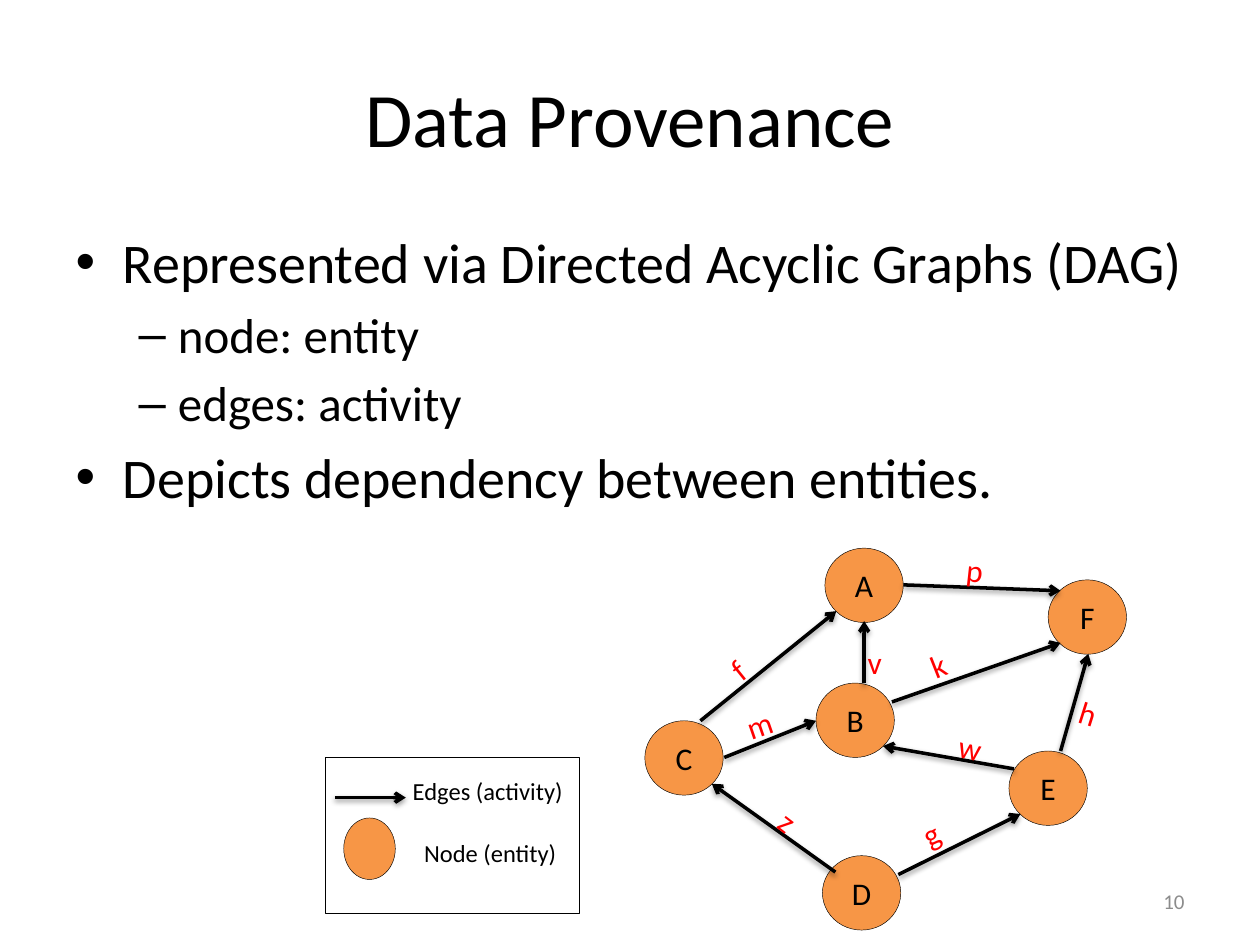
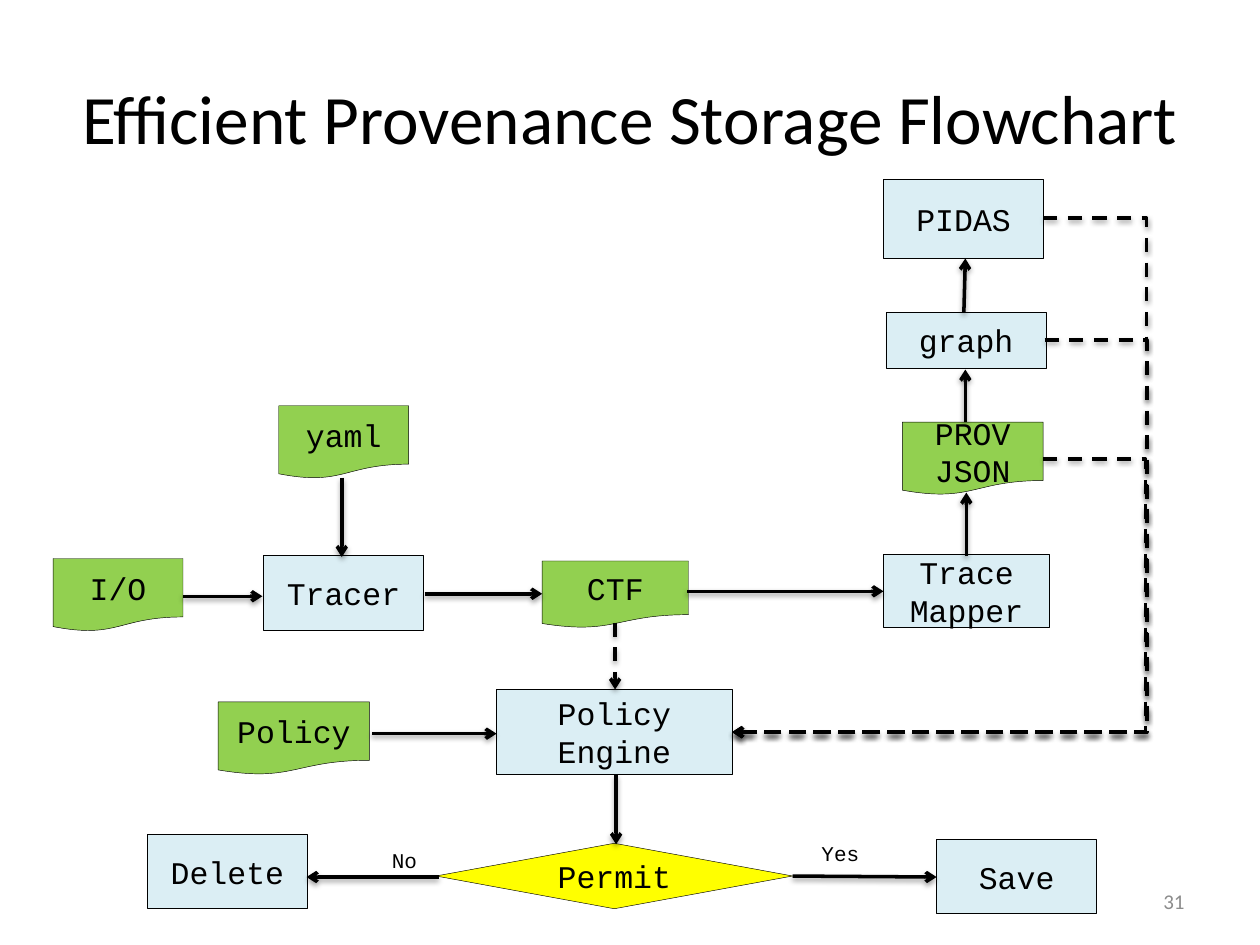
import pptx
import pptx.dml.color
import pptx.enum.dml
import pptx.enum.shapes
import pptx.enum.text
import pptx.oxml
import pptx.oxml.ns
import pptx.util
from dataclasses import dataclass

Cm = pptx.util.Cm
Pt = pptx.util.Pt
Kind = pptx.enum.shapes.MSO_SHAPE
Link = pptx.enum.shapes.MSO_CONNECTOR
Align = pptx.enum.text.PP_ALIGN
Anchor = pptx.enum.text.MSO_ANCHOR


@dataclass(frozen=True)
class Theme:
    """Colours, fonts and sizes shared by all slides."""
    ink: str = "000000"
    paper: str = "FFFFFF"
    node: str = "F79646"
    edge_label: str = "FF0000"
    process: str = "DBEEF4"
    document: str = "92D050"
    decision: str = "FFFF00"
    number: str = "8C8C8C"
    font: str = "Calibri"
    code_font: str = "Courier New"
    title_size: float = 44
    long_title_size: float = 39.6
    list_sizes: tuple = (32, 28)
    label_size: float = 18
    legend_size: float = 14
    small_size: float = 12
    outline: float = 0.25
    arrow: float = 2


THEME = Theme()
TITLE_BOX = (1.27, 0.76, 22.86, 3.18)
LIST_BOX = (1.27, 4.45, 22.86, 12.57)
NUMBER_BOX = (18.21, 17.65, 5.92, 1.02)
GRAPH_BOX = (13, 11.05)
LEGEND_BOX = (6.55, 15.27, 5.13, 3.15)
FLOW_BOX = (1.07, 3.61)

NODE_SIZE = (1.58, 1.5)
EDGE_LABEL_SIZE = (1.27, 1.35)
NODES = {
    "A": (3.63, 0), "B": (3.45, 2.72), "C": (0, 3.48),
    "D": (3.58, 6.2), "E": (7.34, 4.09), "F": (8.13, 0.64),
}
EDGES = [
    ("m", (1.6, 4.22), (3.45, 3.48), (1.85, 3), 340.9),
    ("v", (4.42, 2.72), (4.42, 1.47), (4.24, 1.78), 0),
    ("k", (4.98, 3.1), (8.38, 1.91), (5.56, 1.75), 338.3),
    ("w", (7.44, 4.45), (4.8, 3.99), (6.05, 3.53), 11.4),
    ("g", (5.11, 6.58), (7.57, 5.36), (5.41, 5.13), 331.4),
    ("p", (5.21, 0.74), (8.38, 0.86), (6.22, -0.05), 6.3),
    ("z", (3.84, 6.53), (1.35, 4.75), (2.36, 5.13), 37.5),
    ("f", (1.12, 3.48), (3.86, 1.27), (1.57, 1.73), 321.3),
    ("h", (8.38, 4.09), (8.94, 2.13), (8.46, 2.87), 17.6),
]

DOCUMENTS = [
    ("I/O", (0, 7.65, 2.62, 1.47)),
    ("yaml", (4.55, 4.57, 2.62, 1.47)),
    ("CTF", (9.86, 7.7, 2.95, 1.35)),
    ("Policy", (3.33, 10.54, 3.05, 1.47)),
    ("PROV\nJSON", (17.12, 4.9, 2.84, 1.47)),
]
PROCESSES = [
    ("Tracer", (4.24, 7.59, 3.23, 1.5)),
    ("Trace Mapper", (16.74, 7.57, 3.35, 1.47)),
    ("graph", (16.79, 2.69, 3.23, 1.12)),
    ("PIDAS", (16.74, 0, 3.23, 1.6)),
    ("Policy\nEngine", (8.94, 10.29, 4.75, 1.7)),
    ("Delete", (1.9, 13.21, 3.23, 1.5)),
    ("Save", (17.81, 13.31, 3.23, 1.5)),
]
DECISIONS = [("Permit", (7.72, 13.39, 7.19, 1.32))]
FLOWS = [
    ((2.62, 8.41), (4.22, 8.41)),
    ((5.82, 6.02), (5.82, 7.62)),
    ((7.49, 8.36), (9.86, 8.36)),
    ((12.78, 8.31), (16.74, 8.31)),
    ((18.41, 7.59), (18.41, 6.32)),
    ((18.39, 4.9), (18.39, 3.84)),
    ((18.36, 2.69), (18.39, 1.6)),
    ((6.43, 11.18), (8.94, 11.18)),
    ((11.35, 12.01), (11.35, 13.41)),
    ((7.77, 14.07), (5.11, 14.07)),
    ((14.91, 14.05), (17.81, 14.07)),
]
ENGINE_INPUT = (13.69, 11.15)
FEEDBACKS = [((19.96, 5.64), 22.02), ((19.96, 0.79), 22.05), ((19.99, 3.25), 22.05)]
ANSWERS = [("Yes", (15.24, 13.21, 2.24, 0.61)), ("No", (6.58, 13.36, 2.24, 0.61))]


def colour(code):
    """Turn a hexadecimal code into a colour."""
    return pptx.dml.color.RGBColor.from_string(code)


def shift(box, origin):
    """Move a box or point from region to page coordinates."""
    return (box[0] + origin[0], box[1] + origin[1], *box[2:])


def lengths(box):
    """Turn numbers in centimetres into lengths."""
    return [Cm(value) for value in box]


def write(frame, text, size=THEME.label_size, font=THEME.font, ink=THEME.ink,
          align=None, anchor=None):
    """Fill a text frame with one formatted paragraph for each line."""
    frame.word_wrap = True
    if anchor is not None:
        frame.vertical_anchor = anchor
    for index, line in enumerate(text.split("\n")):
        para = frame.paragraphs[0] if index == 0 else frame.add_paragraph()
        if align is not None:
            para.alignment = align
        span = para.add_run()
        span.text = line
        span.font.size = Pt(size)
        span.font.name = font
        span.font.color.rgb = colour(ink)


def add_label(shapes, text, box, rotation=0, **text_format):
    """Add a text box."""
    label = shapes.add_textbox(*lengths(box))
    label.rotation = rotation
    write(label.text_frame, text, **text_format)


def add_block(shapes, kind, box, fill, text="", **text_format):
    """Add a filled, thinly outlined shape with centred text."""
    block = shapes.add_shape(kind, *lengths(box))
    block.shadow.inherit = False
    block.fill.solid()
    block.fill.fore_color.rgb = colour(fill)
    block.line.color.rgb = colour(THEME.ink)
    block.line.width = Pt(THEME.outline)
    if text:
        write(block.text_frame, text, align=Align.CENTER, anchor=Anchor.MIDDLE, **text_format)


def add_arrow(shapes, start, end, dashed=False, rail=None):
    """Add an arrow with a soft shadow, bent around a vertical rail if one is given."""
    kind = Link.STRAIGHT if rail is None else Link.ELBOW
    arrow = shapes.add_connector(kind, *lengths(start + end))
    arrow.line.color.rgb = colour(THEME.ink)
    arrow.line.width = Pt(THEME.arrow)
    if dashed:
        arrow.line.dash_style = pptx.enum.dml.MSO_LINE.DASH
    namespace = pptx.oxml.ns.nsdecls("a")
    arrow.line._get_or_add_ln().append(
        pptx.oxml.parse_xml(f'<a:tailEnd {namespace} type="arrow"/>'))
    properties = arrow._element.spPr
    properties.append(pptx.oxml.parse_xml(
        f'<a:effectLst {namespace}><a:outerShdw blurRad="{Pt(3.1)}" dist="{Pt(1.6)}" '
        f'dir="5400000" rotWithShape="0"><a:srgbClr val="{THEME.ink}">'
        '<a:alpha val="38000"/></a:srgbClr></a:outerShdw></a:effectLst>'))
    if rail is not None:
        bend = round((start[0] - rail) / (start[0] - end[0]) * 100000)
        geometry = properties.find(pptx.oxml.ns.qn("a:prstGeom"))
        for guides in list(geometry):
            geometry.remove(guides)
        geometry.append(pptx.oxml.parse_xml(
            f'<a:avLst {namespace}><a:gd name="adj1" fmla="val {bend}"/></a:avLst>'))


def place(holder, box):
    """Move a placeholder to a box."""
    holder.left, holder.top, holder.width, holder.height = lengths(box)


def add_page(deck, layout, title, number, size=THEME.title_size):
    """Add a slide with its title and page number."""
    page = deck.slides.add_slide(deck.slide_layouts[layout])
    place(page.shapes.title, TITLE_BOX)
    write(page.shapes.title.text_frame, title, size=size,
          align=Align.CENTER, anchor=Anchor.MIDDLE)
    add_label(page.shapes, number, NUMBER_BOX, size=THEME.small_size,
              ink=THEME.number, align=Align.RIGHT, anchor=Anchor.MIDDLE)
    return page


def fill_list(holder, box, items):
    """Fill the body placeholder with a two-level list."""
    place(holder, box)
    frame = holder.text_frame
    write(frame, "\n".join(text for level, text in items))
    for para, (level, text) in zip(frame.paragraphs, items):
        para.level = level
        para.runs[0].font.size = Pt(THEME.list_sizes[level])
    frame.paragraphs[0].space_before = Pt(0)


def draw_graph(page, box):
    """Draw the provenance graph with its lettered nodes and edges."""
    shapes = page.shapes.add_group_shape().shapes
    for name, corner in NODES.items():
        add_block(shapes, Kind.OVAL, shift(corner + NODE_SIZE, box), THEME.node, name)
    for name, start, end, corner, rotation in EDGES:
        add_arrow(shapes, shift(start, box), shift(end, box))
        add_label(shapes, name, shift(corner + EDGE_LABEL_SIZE, box), rotation,
                  ink=THEME.edge_label)


def draw_legend(page, box):
    """Draw the framed key to edges and nodes."""
    shapes = page.shapes.add_group_shape().shapes
    add_block(shapes, Kind.RECTANGLE, box, THEME.paper)
    origin = box[:2]
    add_arrow(shapes, shift((0.2, 0.81), origin), shift((1.63, 0.81), origin))
    add_block(shapes, Kind.OVAL, shift((0.38, 1.22, 1.04, 1.24), origin), THEME.node)
    for text, spot in (("Edges (activity)", (1.52, 0.25, 4.01, 1.22)),
                       ("Node (entity)", (1.75, 1.5, 3.76, 1.22))):
        add_label(shapes, text, shift(spot, origin), size=THEME.legend_size)


def draw_flowchart(page, box):
    """Draw the storage flowchart with its feedback into the policy engine."""
    shapes = page.shapes
    for kind, fill, blocks in (
            (Kind.FLOWCHART_DOCUMENT, THEME.document, DOCUMENTS),
            (Kind.RECTANGLE, THEME.process, PROCESSES),
            (Kind.FLOWCHART_DECISION, THEME.decision, DECISIONS)):
        for text, spot in blocks:
            add_block(shapes, kind, shift(spot, box), fill, text, font=THEME.code_font)
    for start, end in FLOWS:
        add_arrow(shapes, shift(start, box), shift(end, box))
    add_arrow(shapes, shift((11.33, 8.94), box), shift((11.33, 10.29), box), dashed=True)
    for start, rail in FEEDBACKS:
        add_arrow(shapes, shift(start, box), shift(ENGINE_INPUT, box),
                  dashed=True, rail=rail + box[0])
    for text, spot in ANSWERS:
        add_label(shapes, text, shift(spot, box), size=THEME.small_size, font=THEME.code_font)


def build_provenance(deck):
    """Build the slide on data provenance."""
    page = add_page(deck, 1, "Data Provenance", "10")
    fill_list(page.placeholders[1], LIST_BOX, [
        (0, "Represented via Directed Acyclic Graphs (DAG)"),
        (1, "node: entity"),
        (1, "edges: activity"),
        (0, "Depicts dependency between entities."),
    ])
    draw_graph(page, GRAPH_BOX)
    draw_legend(page, LEGEND_BOX)


def build_storage(deck):
    """Build the slide with the storage flowchart."""
    page = add_page(deck, 5, "Efficient Provenance Storage Flowchart", "31",
                    size=THEME.long_title_size)
    draw_flowchart(page, FLOW_BOX)


def main():
    """Build and save the deck."""
    deck = pptx.Presentation()
    deck.slide_width, deck.slide_height = Cm(25.4), Cm(19.05)
    build_provenance(deck)
    build_storage(deck)
    deck.save("out.pptx")


if __name__ == "__main__":
    main()
